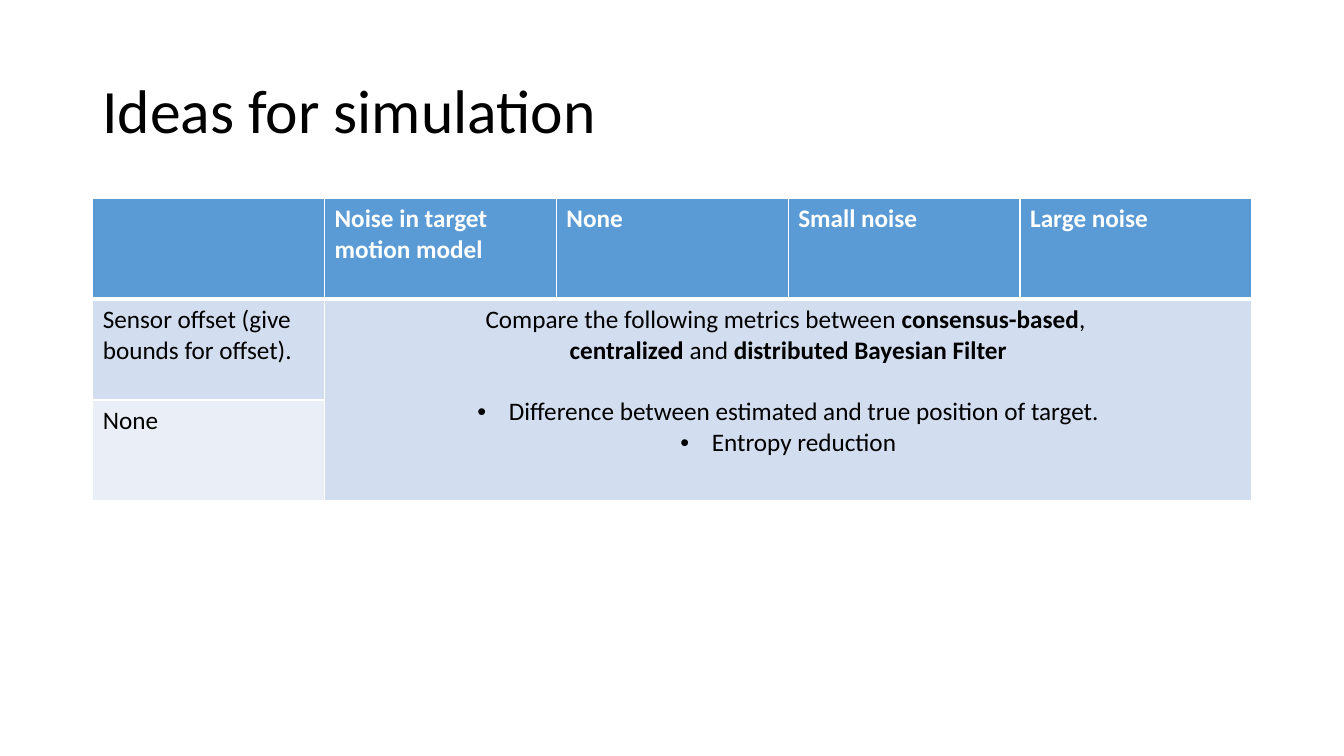
import lxml.etree
import pptx
import pptx.dml.color
import pptx.enum.text
import pptx.oxml.ns
import pptx.util

Pt = pptx.util.Pt
RGB = pptx.dml.color.RGBColor.from_string
PP_ALIGN = pptx.enum.text.PP_ALIGN
qn = pptx.oxml.ns.qn

THEME = {
    "font": "Calibri",
    "title_size": 44,
    "body_size": 18,
    "text": "000000",
    "white": "FFFFFF",
    "header": "5B9BD5",
    "band_dark": "D2DEEF",
    "band_light": "EAEFF7",
}


def format_run(r, size, color, bold=False):
    r.font.name = THEME["font"]
    r.font.size = Pt(size)
    r.font.color.rgb = RGB(color)
    r.font.bold = bold


def add_borders(cell, widths):
    tc_pr = cell._tc.get_or_add_tcPr()
    for i, (side, width) in enumerate(widths.items()):
        ln = lxml.etree.Element(qn(f"a:ln{side}"), w=str(Pt(width)))
        fill = lxml.etree.SubElement(ln, qn("a:solidFill"))
        lxml.etree.SubElement(fill, qn("a:srgbClr"), val=THEME["white"])
        tc_pr.insert(i, ln)


prs = pptx.Presentation()
prs.slide_width, prs.slide_height = Pt(960), Pt(540)
s = prs.slides.add_slide(prs.slide_layouts[5])

title = s.shapes.title
title.left, title.top, title.width, title.height = Pt(66), Pt(28.75), Pt(828), Pt(104.4)
tf = title.text_frame
tf.text = "Ideas for simulation"
tf.word_wrap = True
tf.auto_size = pptx.enum.text.MSO_AUTO_SIZE.NONE
tf.vertical_anchor = pptx.enum.text.MSO_ANCHOR.MIDDLE
p = tf.paragraphs[0]
p.alignment = PP_ALIGN.LEFT
p.line_spacing = 0.9
format_run(p.runs[0], THEME["title_size"], THEME["text"])

rows = [
    ["", "Noise in target motion model", "None", "Small noise", "Large noise"],
    ["Sensor offset (give bounds for offset).", "", "", "", ""],
    ["None", "", "", "", ""],
]
row_fills = [THEME["header"], THEME["band_dark"], THEME["band_light"]]

table = s.shapes.add_table(3, 5, Pt(66.25), Pt(141.75), Pt(828), Pt(216)).table
for column in table.columns:
    column.width = Pt(165.6)
for row in table.rows:
    row.height = Pt(72)

for i, texts in enumerate(rows):
    is_header = i == 0
    for j, text in enumerate(texts):
        cell = table.cell(i, j)
        cell.fill.solid()
        cell.fill.fore_color.rgb = RGB(row_fills[i])
        add_borders(cell, {"L": 1, "R": 1, "T": 3 if i == 1 else 1, "B": 3 if is_header else 1})
        p = cell.text_frame.paragraphs[0]
        p.font.size = Pt(THEME["body_size"])
        if text:
            p.text = text
            color = THEME["white"] if is_header else THEME["text"]
            format_run(p.runs[0], THEME["body_size"], color, is_header)

metrics = table.cell(1, 1)
metrics.merge(table.cell(2, 4))
metric_lines = [
    [("Compare the following metrics between ", False), ("consensus-based", True), (", ", False)],
    [("centralized", True), (" and ", False), ("distributed Bayesian Filter", True)],
    [("Difference between estimated and true position of target.", False)],
    [("Entropy reduction", False)],
]
first_bullet = 2
tf = metrics.text_frame
for i, line in enumerate(metric_lines):
    p = tf.paragraphs[0] if i == 0 else tf.add_paragraph()
    p.alignment = PP_ALIGN.CENTER
    for text, bold in line:
        r = p.add_run()
        r.text = text
        format_run(r, THEME["body_size"], THEME["text"], bold)
    if i == first_bullet:
        p.space_before = Pt(22)
    if i >= first_bullet:
        p_pr = p._p.get_or_add_pPr()
        p_pr.set("marL", str(Pt(22.5)))
        p_pr.set("indent", str(-Pt(22.5)))
        lxml.etree.SubElement(p_pr, qn("a:buFont"), typeface="Arial")
        lxml.etree.SubElement(p_pr, qn("a:buChar"), char="•")

prs.save("out.pptx")
